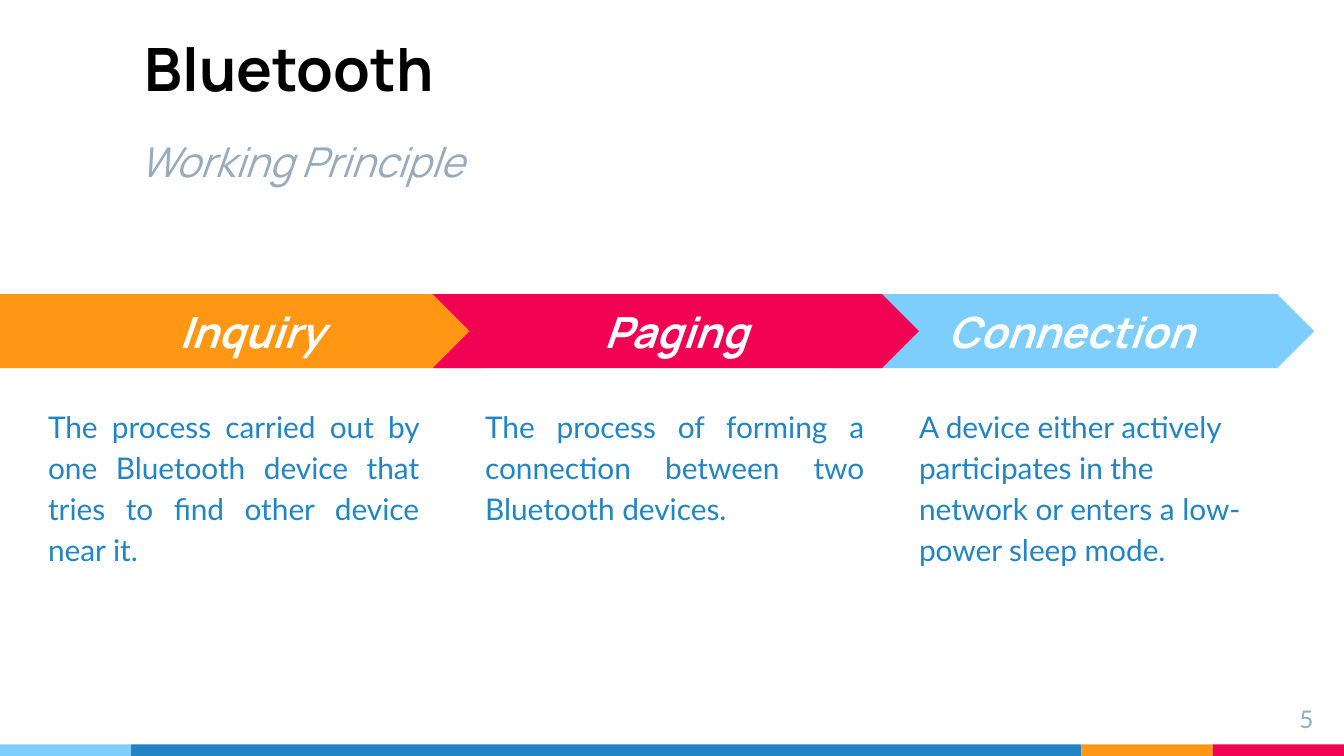
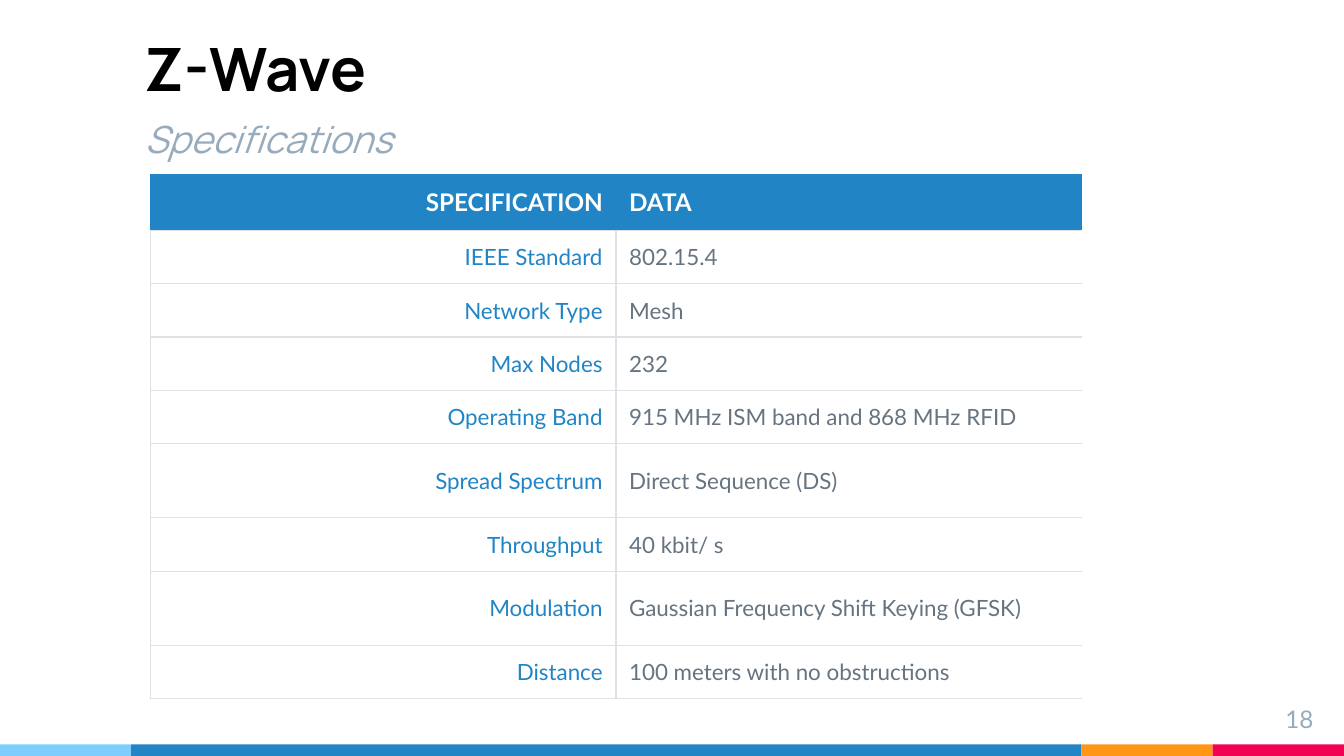
from lxml.etree import SubElement
from pptx import Presentation
from pptx.dml.color import RGBColor
from pptx.enum.shapes import MSO_SHAPE
from pptx.enum.text import MSO_ANCHOR, MSO_AUTO_SIZE, PP_ALIGN
from pptx.oxml.ns import qn
from pptx.util import Cm, Pt

COLORS = {
    "sky": "7ECEFD", "blue": "2185C5", "orange": "FF9715", "red": "F20253",
    "slate": "97ABBC", "gray": "677480", "rule": "DEE2E6",
    "white": "FFFFFF", "black": "000000",
}
HEADING, BODY = "Manrope", "Lato"
MARGIN = Cm(0.25)
BANDS = [("sky", 2.48), ("blue", 17.96), ("orange", 2.48), ("red", 2.48)]


def rgb(name):
    return RGBColor.from_string(COLORS[name])


class Deck:
    """Holds the presentation, its style and the slide being built."""

    def __init__(self):
        self.prs = Presentation()
        self.prs.slide_width, self.prs.slide_height = Cm(25.4), Cm(14.29)
        self.s = None

    def slide(self, title, number):
        self.s = self.prs.slides.add_slide(self.prs.slide_layouts[6])
        x = 0
        for color, width in BANDS:
            self.shape(MSO_SHAPE.RECTANGLE, x, 14.07, width, 0.22, color)
            x += width
        self.title(title, (2.49, 0.33, 17.96, 1.88), 32, "black", bold=True)
        self.text(number, (23.55, 13.06, 1.52, 0.86), 13, "slate", align=PP_ALIGN.RIGHT)

    def add_text(self, tf, text, size, color, font=BODY, bold=False, italic=False,
                 align=PP_ALIGN.LEFT, spacing=None):
        p = tf.paragraphs[0]
        p.alignment = align
        if spacing:
            p.line_spacing = spacing
        r = p.add_run()
        r.text = text
        r.font.name, r.font.size = font, Pt(size)
        r.font.bold, r.font.italic = bold, italic
        r.font.color.rgb = rgb(color)

    def frame(self, sp, anchor):
        """Wrap the text of a shape, with equal margins on all sides."""
        tf = sp.text_frame
        tf.word_wrap = True
        tf.vertical_anchor = anchor
        tf.margin_left = tf.margin_right = tf.margin_top = tf.margin_bottom = MARGIN
        return tf

    def text(self, text, box, size, color, anchor=MSO_ANCHOR.TOP, **style):
        sp = self.s.shapes.add_textbox(*map(Cm, box))
        tf = self.frame(sp, anchor)
        self.add_text(tf, text, size, color, **style)
        return tf

    def title(self, text, box, size, color, **style):
        tf = self.text(text, box, size, color, MSO_ANCHOR.BOTTOM, font=HEADING, **style)
        tf.auto_size = MSO_AUTO_SIZE.SHAPE_TO_FIT_TEXT

    def shape(self, kind, x, y, w, h, color):
        sp = self.s.shapes.add_shape(kind, Cm(x), Cm(y), Cm(w), Cm(h))
        sp.shadow.inherit = False
        sp.fill.solid()
        sp.fill.fore_color.rgb = rgb(color)
        sp.line.fill.background()
        return sp

    def step(self, kind, name, x, width, color):
        sp = self.shape(kind, x, 5.56, width, 1.4, color)
        self.add_text(self.frame(sp, MSO_ANCHOR.MIDDLE), name, 23, "white", font=HEADING,
                      bold=True, italic=True, align=PP_ALIGN.CENTER)

    def borders(self, cell, edges):
        tc_pr = cell._tc.get_or_add_tcPr()
        for side, color in edges.items():
            ln = SubElement(tc_pr, qn("a:ln" + side), w=str(Pt(0.75)))
            SubElement(SubElement(ln, qn("a:solidFill")), qn("a:srgbClr"), val=COLORS[color])

    def table(self, rows, heights, x, y, column_width):
        columns = len(rows[0])
        frame = self.s.shapes.add_table(len(rows), columns, Cm(x), Cm(y),
                                        Cm(column_width * columns), Cm(sum(heights)))
        table = frame.table
        table.horz_banding = False
        for column in table.columns:
            column.width = Cm(column_width)
        for i, (row, height) in enumerate(zip(rows, heights)):
            table.rows[i].height = Cm(height)
            for j, text in enumerate(row):
                self.cell(table.cell(i, j), text, header=i == 0, label=j == 0)

    def cell(self, cell, text, header, label):
        edge = "blue" if header else "rule"
        edges = {"L": edge, "R": edge, "T": edge, "B": "rule"}
        if not header and not label:
            del edges["R"]
        self.borders(cell, edges)
        if header:
            cell.fill.solid()
            cell.fill.fore_color.rgb = rgb("blue")
        else:
            cell.fill.background()
        cell.vertical_anchor = MSO_ANCHOR.MIDDLE
        cell.margin_left = cell.margin_right = cell.margin_top = cell.margin_bottom = MARGIN
        color = "white" if header else "blue" if label else "gray"
        self.add_text(cell.text_frame, text, 13 if header else 12, color, bold=header,
                      align=PP_ALIGN.RIGHT if label else PP_ALIGN.LEFT)


def working_principle(deck):
    deck.slide("Bluetooth", "5")
    deck.title("Working Principle", (2.39, 2.31, 7.16, 1.45), 22, "slate", italic=True)
    # Paging comes last because it overlaps both neighbours.
    steps = [
        (MSO_SHAPE.CHEVRON, "Connection", 15.65, 9.19, "sky", 17.12, 6.98, PP_ALIGN.LEFT,
         "A device either actively participates in the network or enters a low-power sleep mode."),
        (MSO_SHAPE.PENTAGON, "Inquiry", 0, 9.86, "orange", 0.66, 7.52, PP_ALIGN.JUSTIFY,
         "The process carried out by one Bluetooth device that tries to find other device near it."),
        (MSO_SHAPE.CHEVRON, "Paging", 8.18, 9.19, "red", 8.92, 7.67, PP_ALIGN.JUSTIFY,
         "The process of forming a connection between two Bluetooth devices."),
    ]
    for kind, name, x, width, color, text_x, text_width, align, text in steps:
        deck.step(kind, name, x, width, color)
        deck.text(text, (text_x, 7.37, text_width, 5.46), 16, "blue", align=align, spacing=1.15)


def specifications(deck):
    deck.slide("Z-Wave", "18")
    deck.title("Specifications", (2.49, 1.93, 11.81, 1.37), 20, "slate", italic=True)
    rows = [
        ("SPECIFICATION", "DATA"),
        ("IEEE Standard", "802.15.4"),
        ("Network Type", "Mesh"),
        ("Max Nodes", "232"),
        ("Operating Band", "915 MHz ISM band and 868 MHz RFID"),
        ("Spread Spectrum", "Direct Sequence (DS)"),
        ("Throughput", "40 kbit/ s"),
        ("Modulation", "Gaussian Frequency Shift Keying (GFSK)"),
        ("Distance", "100 meters with no obstructions"),
    ]
    tall = {"Spread Spectrum", "Modulation"}
    heights = [0.94] + [1.4 if label in tall else 0.99 for label, _ in rows[1:]]
    deck.table(rows, heights, 2.84, 3.3, 8.8)


def main():
    deck = Deck()
    working_principle(deck)
    specifications(deck)
    deck.prs.save("out.pptx")


if __name__ == "__main__":
    main()
